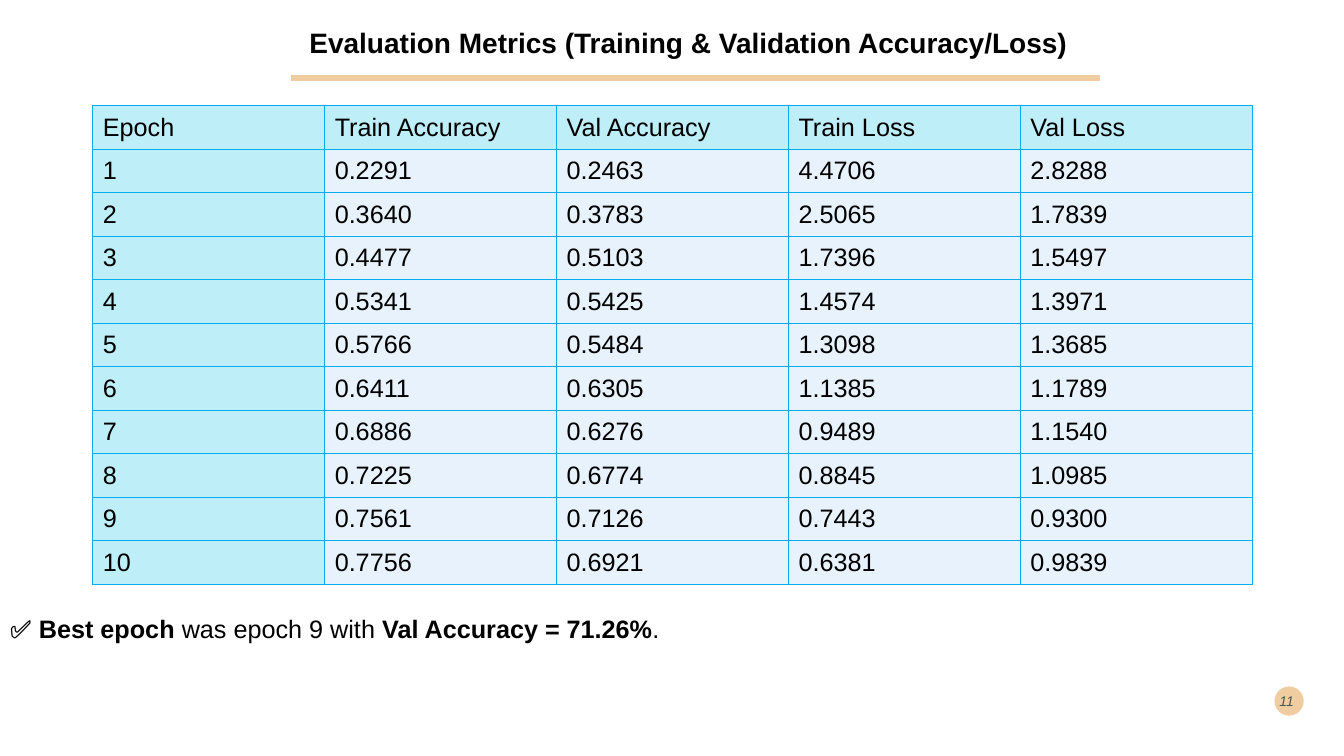
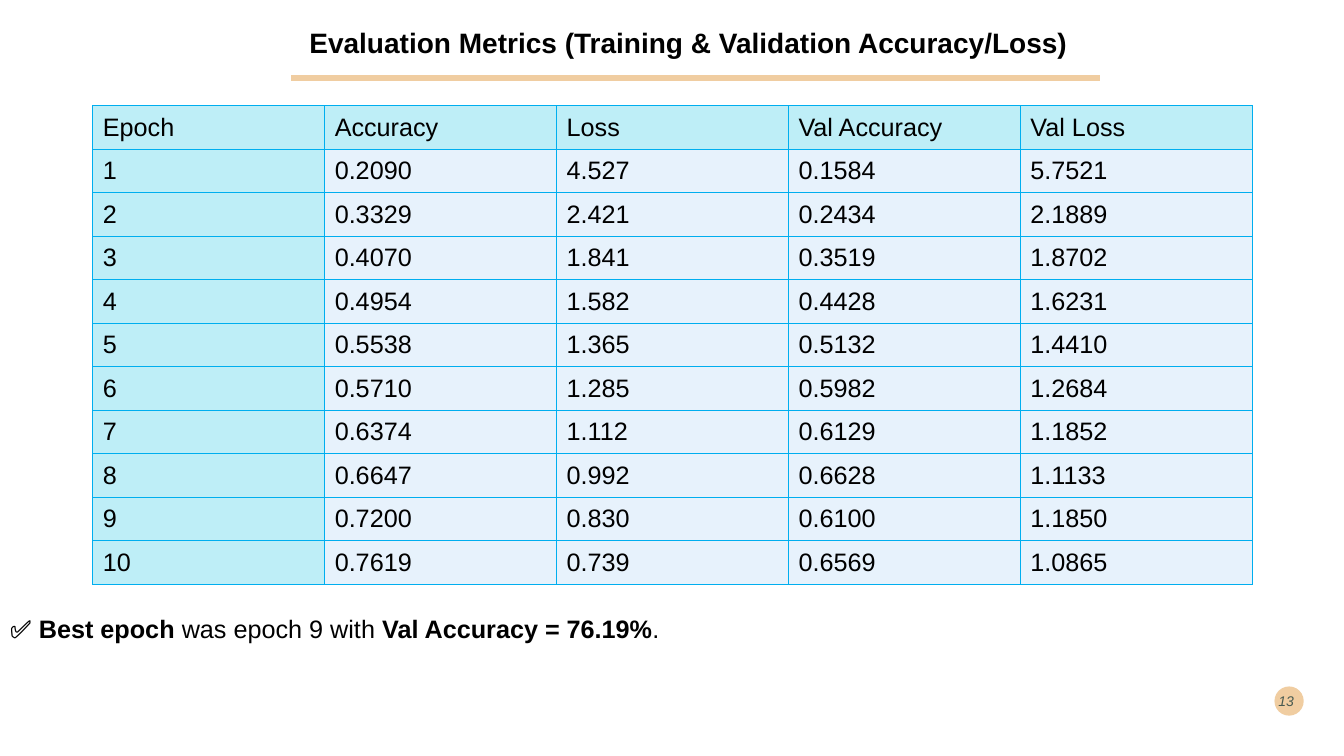
"""Build two slides of per-epoch training and validation results."""
from lxml import etree
from pptx import Presentation
from pptx.dml.color import RGBColor
from pptx.enum.shapes import MSO_CONNECTOR, MSO_SHAPE
from pptx.enum.text import MSO_ANCHOR, PP_ALIGN
from pptx.oxml.ns import qn
from pptx.util import Inches, Pt

STRAIGHT = MSO_CONNECTOR.STRAIGHT
ELLIPSE = MSO_SHAPE.OVAL
TOP, MIDDLE = MSO_ANCHOR.TOP, MSO_ANCHOR.MIDDLE
LEFT, RIGHT = PP_ALIGN.LEFT, PP_ALIGN.RIGHT

BLANK_LAYOUT = 6
TITLE = "Evaluation Metrics (Training & Validation Accuracy/Loss)"
FIRST_RESULTS = [
    ("Epoch", "Train Accuracy", "Val Accuracy", "Train Loss", "Val Loss"),
    ("1", "0.2291", "0.2463", "4.4706", "2.8288"),
    ("2", "0.3640", "0.3783", "2.5065", "1.7839"),
    ("3", "0.4477", "0.5103", "1.7396", "1.5497"),
    ("4", "0.5341", "0.5425", "1.4574", "1.3971"),
    ("5", "0.5766", "0.5484", "1.3098", "1.3685"),
    ("6", "0.6411", "0.6305", "1.1385", "1.1789"),
    ("7", "0.6886", "0.6276", "0.9489", "1.1540"),
    ("8", "0.7225", "0.6774", "0.8845", "1.0985"),
    ("9", "0.7561", "0.7126", "0.7443", "0.9300"),
    ("10", "0.7756", "0.6921", "0.6381", "0.9839"),
]
SECOND_RESULTS = [
    ("Epoch", "Accuracy", "Loss", "Val Accuracy", "Val Loss"),
    ("1", "0.2090", "4.527", "0.1584", "5.7521"),
    ("2", "0.3329", "2.421", "0.2434", "2.1889"),
    ("3", "0.4070", "1.841", "0.3519", "1.8702"),
    ("4", "0.4954", "1.582", "0.4428", "1.6231"),
    ("5", "0.5538", "1.365", "0.5132", "1.4410"),
    ("6", "0.5710", "1.285", "0.5982", "1.2684"),
    ("7", "0.6374", "1.112", "0.6129", "1.1852"),
    ("8", "0.6647", "0.992", "0.6628", "1.1133"),
    ("9", "0.7200", "0.830", "0.6100", "1.1850"),
    ("10", "0.7619", "0.739", "0.6569", "1.0865"),
]
SLIDES = [
    ("11", FIRST_RESULTS, "71.26%"),
    ("13", SECOND_RESULTS, "76.19%"),
]


def color(value):
    return RGBColor.from_string(value)


def write_text(frame, *parts, size=18, ink="000000", bold=False, italic=False,
               align=LEFT, opacity=100):
    paragraph = frame.paragraphs[0]
    paragraph.alignment = align
    for part in parts:
        text, part_bold = part if isinstance(part, tuple) else (part, bold)
        run = paragraph.add_run()
        run.text = text
        font = run.font
        font.name, font.size = Deck.font, Pt(size)
        font.bold, font.italic = part_bold, italic
        font.color.rgb = color(ink)
        if opacity < 100:
            for fill in run._r.xpath(".//a:srgbClr"):
                etree.SubElement(fill, qn("a:alpha"), val=str(opacity * 1000))


class Deck:
    font = "Arial"
    accent = "F0CDA1"
    border = "00AEEF"
    header_fill = "BEEEF7"
    body_fill = "E7F2FC"
    number_ink = "00292E"

    def __init__(self):
        self.presentation = Presentation()
        self.presentation.slide_width = Inches(13.33)
        self.presentation.slide_height = Inches(7.5)
        self.slide = None

    def add_slide(self):
        layout = self.presentation.slide_layouts[BLANK_LAYOUT]
        self.slide = self.presentation.slides.add_slide(layout)

    def text_box(self, left, top, width, height, *parts, anchor=MIDDLE, **style):
        box = self.slide.shapes.add_textbox(
            Inches(left), Inches(top), Inches(width), Inches(height))
        frame = box.text_frame
        frame.word_wrap = True
        frame.vertical_anchor = anchor
        write_text(frame, *parts, **style)

    def page_number(self, number):
        badge = self.slide.shapes.add_shape(
            ELLIPSE, Inches(12.64), Inches(6.81), Inches(0.29), Inches(0.29))
        badge.shadow.inherit = False
        badge.fill.solid()
        badge.fill.fore_color.rgb = color(self.accent)
        badge.line.fill.background()
        self.text_box(12.54, 6.75, 0.39, 0.4, number, size=10, italic=True,
                      ink=self.number_ink, align=RIGHT, opacity=70)

    def title(self, text):
        self.text_box(2.97, 0.2, 8.76, 0.44, text, anchor=TOP, size=20, bold=True)
        rule = self.slide.shapes.add_connector(
            STRAIGHT, Inches(2.89), Inches(0.77), Inches(10.91), Inches(0.77))
        rule.line.color.rgb = color(self.accent)
        rule.line.width = Pt(4.32)
        etree.SubElement(rule._element.spPr, qn("a:effectLst"))

    def cell_borders(self, cell):
        properties = cell._tc.get_or_add_tcPr()
        for side in ("lnL", "lnR", "lnT", "lnB"):
            line = etree.SubElement(properties, qn(f"a:{side}"), w=str(Pt(1)))
            fill = etree.SubElement(line, qn("a:solidFill"))
            etree.SubElement(fill, qn("a:srgbClr"), val=self.border)

    def table(self, rows):
        row_count, column_count = len(rows), len(rows[0])
        table = self.slide.shapes.add_table(
            row_count, column_count, Inches(0.92), Inches(1.05),
            Inches(11.5), Inches(4.75)).table
        table.first_row = table.horz_banding = False
        for row_index, row in enumerate(rows):
            for column_index, text in enumerate(row):
                cell = table.cell(row_index, column_index)
                is_header = row_index == 0 or column_index == 0
                self.cell_borders(cell)
                cell.fill.solid()
                cell.fill.fore_color.rgb = color(
                    self.header_fill if is_header else self.body_fill)
                cell.vertical_anchor = MIDDLE
                write_text(cell.text_frame, text)

    def best_epoch(self, accuracy):
        self.text_box(0, 5.98, 13.33, 0.5, "✅ ", ("Best epoch", True),
                      " was epoch 9 with ", (f"Val Accuracy = {accuracy}", True), ".")


def main():
    deck = Deck()
    for number, results, accuracy in SLIDES:
        deck.add_slide()
        deck.page_number(number)
        deck.table(results)
        deck.title(TITLE)
        deck.best_epoch(accuracy)
    deck.presentation.save("out.pptx")


if __name__ == "__main__":
    main()
